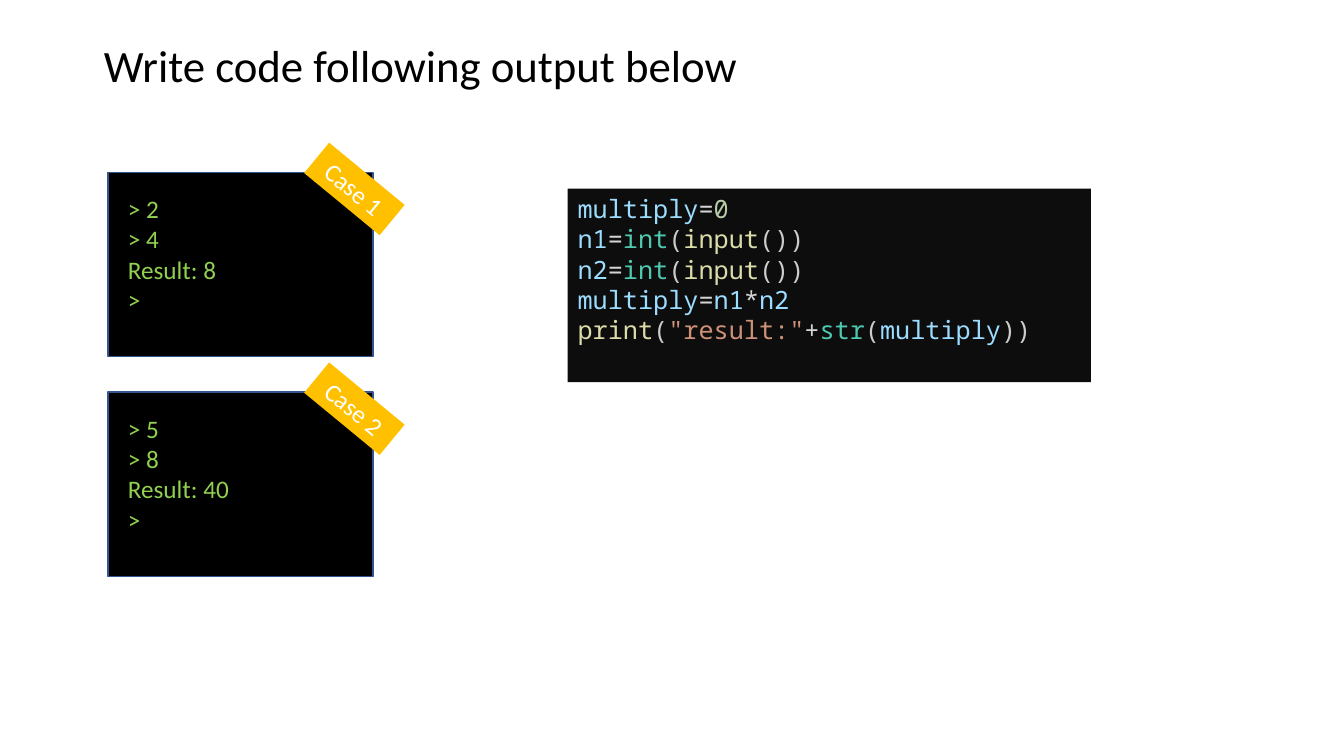
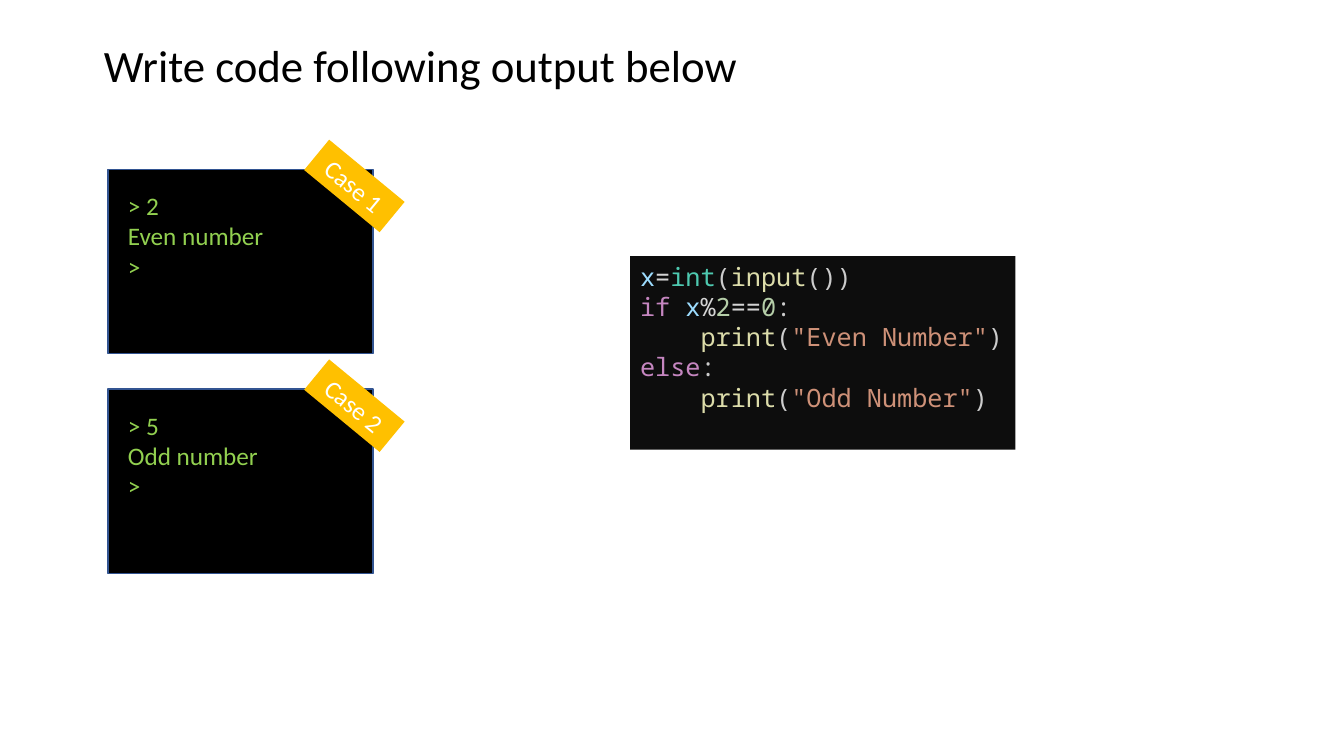
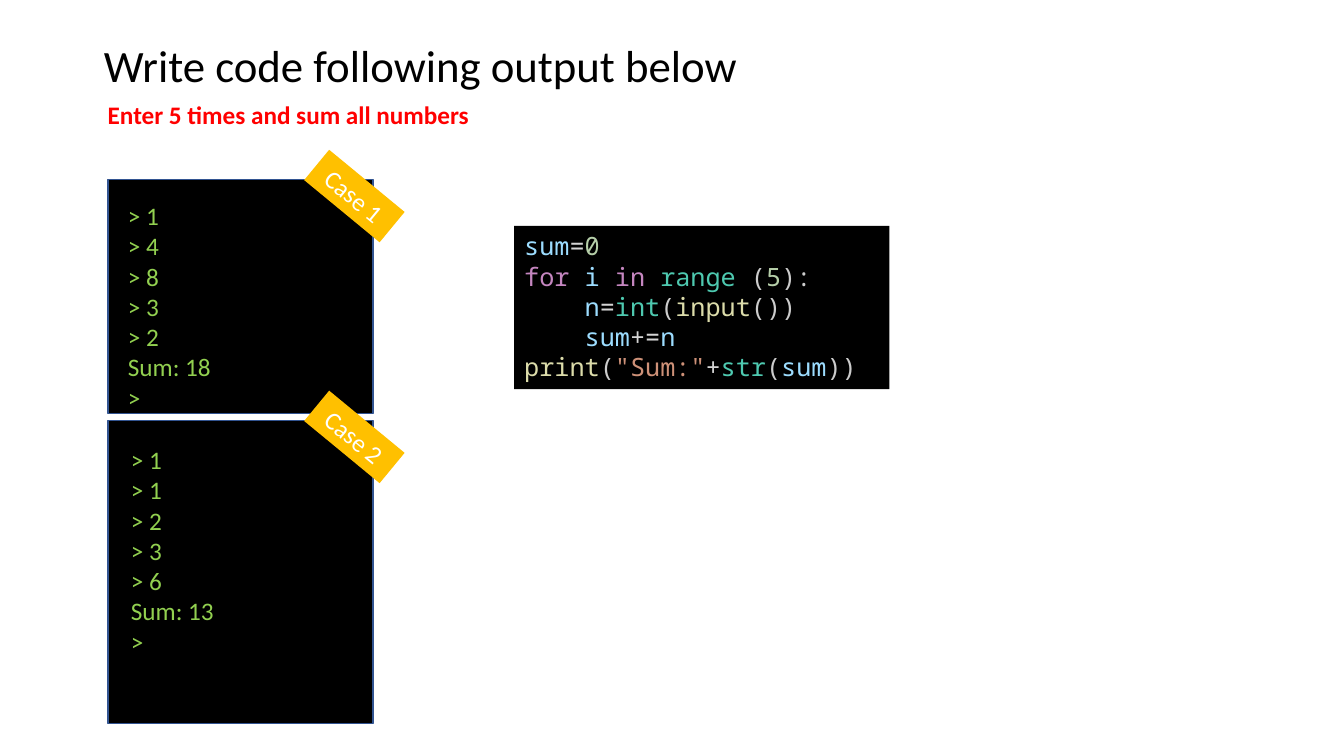
import pptx
import pptx.util
import pptx.dml.color
import pptx.enum.shapes
import pptx.enum.text

RGB = pptx.dml.color.RGBColor
ALIGN = pptx.enum.text.PP_ALIGN
ANCHOR = pptx.enum.text.MSO_ANCHOR
RECT = pptx.enum.shapes.MSO_SHAPE.RECTANGLE
PX = 9144

BLACK = RGB(0x00, 0x00, 0x00)
WHITE = RGB(0xFF, 0xFF, 0xFF)
RED = RGB(0xFF, 0x00, 0x00)
GREEN = RGB(0x92, 0xD0, 0x50)
GOLD = RGB(0xFF, 0xC0, 0x00)
EDGE = RGB(0x32, 0x54, 0x91)
COAL = RGB(0x0D, 0x0D, 0x0D)
NAME = RGB(0x9C, 0xDC, 0xFE)
SIGN = RGB(0xD4, 0xD4, 0xD4)
MARK = RGB(0xCC, 0xCC, 0xCC)
DIGIT = RGB(0xB5, 0xCE, 0xA8)
TYPE = RGB(0x4E, 0xC9, 0xB0)
CALL = RGB(0xDC, 0xDC, 0xAA)
QUOTE = RGB(0xCE, 0x91, 0x78)
WORD = RGB(0xC5, 0x86, 0xC0)

GROUPS = [
    (SIGN, ["=", "==", "%", "*", "+", "+="]),
    (TYPE, ["int", "str", "range"]),
    (CALL, ["input", "print"]),
    (WORD, ["if", "else", "for", "in"]),
]
HUES = {token: hue for hue, tokens in GROUPS for token in tokens}

HEAD = {"name": "Calibri", "size": pptx.util.Pt(32), "bold": False}
BODY = {"name": "Calibri", "size": pptx.util.Pt(18), "bold": False}
NOTE = {**BODY, "bold": True}
MONO = {"name": "Noto Sans Mono", "size": pptx.util.Pt(18)}
FLOW = {"word_wrap": True, "vertical_anchor": ANCHOR.TOP,
        "auto_size": pptx.enum.text.MSO_AUTO_SIZE.NONE}
LABEL = {**FLOW, "word_wrap": False, "vertical_anchor": ANCHOR.MIDDLE}

TITLE = "Write code following output below"
TABS = 60

SLIDES = [
    {
        "cases": [
            ((107, 171, 263, 183), (10, 16), ["> 2", "> 4", "Result: 8", ">"]),
            ((107, 389, 263, 183), (10, 16), ["> 5", "> 8", "Result: 40", ">"]),
        ],
        "box": (563, 187, 519, 192),
        "fill": COAL,
        "code": [
            (0, "multiply|=|0"),
            (0, "n1|=|int|(|input|())"),
            (0, "n2|=|int|(|input|())"),
            (0, "multiply|=|n1|*|n2"),
            (0, 'print|(|"result:"|+|str|(|multiply|))'),
        ],
    },
    {
        "cases": [
            ((107, 168, 263, 183), (10, 16), ["> 2", "Even number", ">"]),
            ((107, 386, 263, 183), (10, 16), ["> 5", "Odd number", ">"]),
        ],
        "box": (625, 254, 382, 192),
        "fill": COAL,
        "code": [
            (0, "x|=|int|(|input|())"),
            (0, "if |x|%|2|==|0|:"),
            (1, 'print|(|"Even Number"|)'),
            (0, "else|:"),
            (1, 'print|(|"Odd Number"|)'),
        ],
    },
    {
        "note": "Enter 5 times and sum all numbers",
        "cases": [
            ((107, 178, 263, 232), (10, 16),
             ["> 1", "> 4", "> 8", "> 3", "> 2", "Sum: 18", ">"]),
            ((107, 417, 263, 301), (13, 19),
             ["> 1", "> 1", "> 2", "> 3", "> 6", "Sum: 13", ">"]),
        ],
        "box": (510, 224, 372, 162),
        "fill": BLACK,
        "code": [
            (0, "sum|=|0"),
            (0, "for |i |in |range| (|5|):"),
            (1, "n|=|int|(|input|())"),
            (1, "sum|+=|n"),
            (0, 'print|(|"Sum:"|+|str|(|sum|))'),
        ],
    },
]


def scale(box):
    return [pptx.util.Emu(n * PX) for n in box]


def apply(obj, vals):
    for key, val in vals.items():
        setattr(obj, key, val)


def hue(token):
    core = token.strip()
    if core in HUES:
        return HUES[core]
    if core.startswith('"'):
        return QUOTE
    if core.isdigit():
        return DIGIT
    return NAME if core.isalnum() else MARK


def write(frame, rows, style, flow=FLOW, align=ALIGN.LEFT):
    apply(frame, flow)
    for num, runs in enumerate(rows):
        para = frame.add_paragraph() if num else frame.paragraphs[0]
        para.alignment = align
        for text, ink in runs:
            run = para.add_run()
            run.text = text
            apply(run.font, style)
            run.font.color.rgb = ink


def label(slide, box, lines, ink, style):
    item = slide.shapes.add_textbox(*scale(box))
    write(item.text_frame, [[(line, ink)] for line in lines], style)


def panel(slide, box, fill, edge=None):
    item = slide.shapes.add_shape(RECT, *scale(box))
    item.shadow.inherit = False
    item.fill.solid()
    item.fill.fore_color.rgb = fill
    if edge is None:
        item.line.fill.background()
    else:
        item.line.color.rgb = edge
        item.line.width = pptx.util.Pt(1)
    return item


def case(slide, box, inset, lines, num):
    left, top, wide, high = box
    panel(slide, box, BLACK, EDGE)
    spot = (left + inset[0], top + inset[1], wide - inset[0], 10 + 30 * len(lines))
    label(slide, spot, lines, GREEN, BODY)
    tag = panel(slide, (left + wide - 67, top - 3, 97, 39), GOLD)
    tag.rotation = 39.5
    write(tag.text_frame, [[(f"Case {num}", WHITE)]], BODY, LABEL, ALIGN.CENTER)


def listing(slide, box, fill, code):
    frame = panel(slide, box, fill).text_frame
    frame.margin_right = 0
    rows = [[(part, hue(part)) for part in line.split("|")] for _, line in code]
    write(frame, rows, MONO)
    for para, (depth, _) in zip(frame.paragraphs, code):
        if depth:
            para._p.get_or_add_pPr().set("marL", str(depth * TABS * PX))


def heading(slide):
    title = slide.shapes.title
    apply(title, dict(zip(("left", "top", "width", "height"), scale((93, 32, 655, 64)))))
    write(title.text_frame, [[(TITLE, BLACK)]], HEAD)


def build(deck, data):
    slide = deck.slides.add_slide(deck.slide_layouts[5])
    heading(slide)
    for num, (box, inset, lines) in enumerate(data["cases"], 1):
        case(slide, box, inset, lines, num)
    if "note" in data:
        label(slide, (97, 94, 400, 40), [data["note"]], RED, NOTE)
    listing(slide, data["box"], data["fill"], data["code"])


def main():
    deck = pptx.Presentation()
    deck.slide_width, deck.slide_height = scale((1333, 750))
    for data in SLIDES:
        build(deck, data)
    deck.save("out.pptx")


if __name__ == "__main__":
    main()
